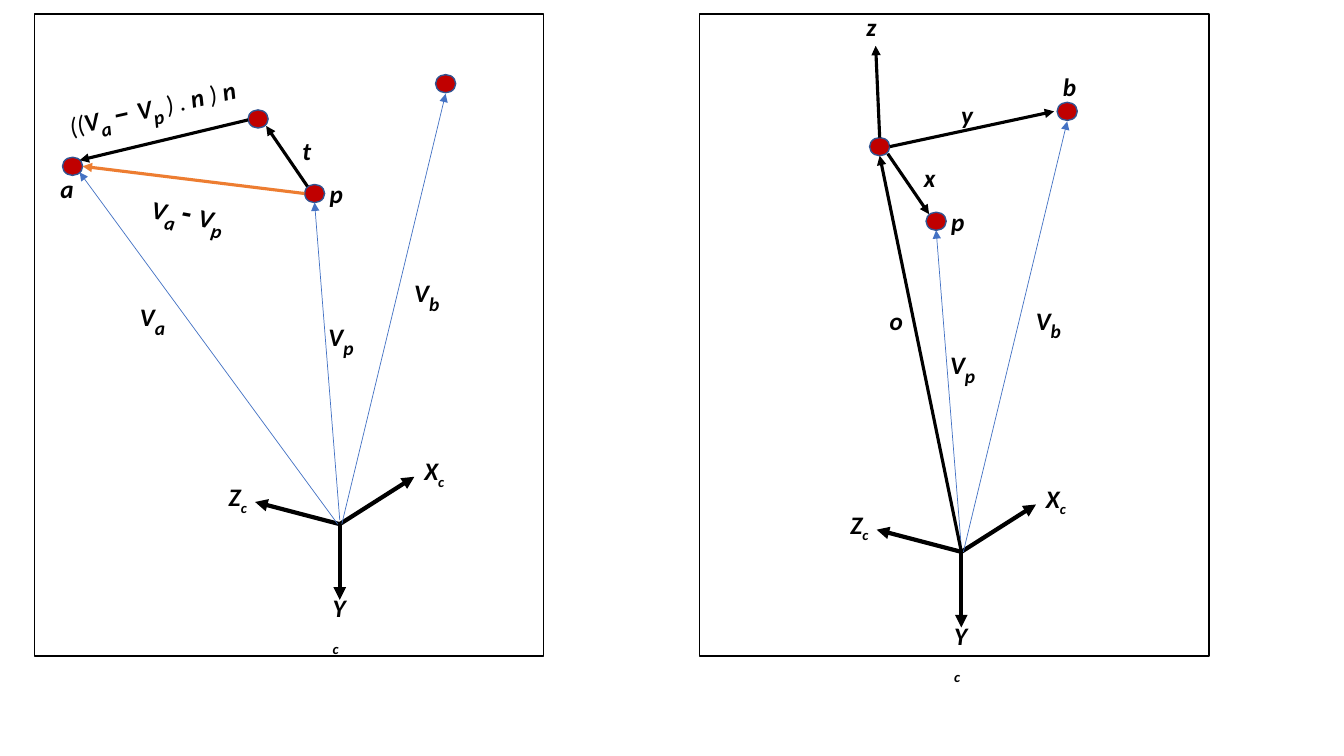
from dataclasses import dataclass

from lxml import etree
from pptx import Presentation
from pptx.dml.color import RGBColor
from pptx.enum.shapes import MSO_CONNECTOR, MSO_SHAPE
from pptx.enum.text import MSO_AUTO_SIZE
from pptx.oxml.ns import qn
from pptx.slide import Slide
from pptx.util import Inches, Pt

STRAIGHT = MSO_CONNECTOR.STRAIGHT
OVAL, RECTANGLE = MSO_SHAPE.OVAL, MSO_SHAPE.RECTANGLE
GROW = MSO_AUTO_SIZE.SHAPE_TO_FIT_TEXT
SLIDE_WIDTH, SLIDE_HEIGHT = Inches(13.33), Inches(7.5)
ROWS = 75
CELL = SLIDE_HEIGHT / ROWS


@dataclass(frozen=True)
class Theme:
    font: str = "Calibri"
    ink: str = "000000"
    ray: str = "4472C4"
    difference: str = "ED7D31"
    point: str = "C00000"
    point_edge: str = "325491"
    text: int = 18
    subscript: int = 24
    thin: float = 0.5
    edge: float = 1
    vector: float = 2.25
    axis: float = 3


THEME = Theme()


@dataclass(frozen=True)
class Piece:
    text: str
    size: int = THEME.text
    lowered: bool = False
    bold: bool = True


@dataclass(frozen=True)
class Arrow:
    start: tuple[float, float]
    end: tuple[float, float]
    color: str = THEME.ink
    width: float = THEME.vector


@dataclass(frozen=True)
class Label:
    col: float
    row: float
    pieces: tuple[Piece, ...]
    cols: float = 3.4
    rows: float = 4
    wrap: bool = False
    rotation: float = 0


@dataclass(frozen=True)
class Panel:
    frame_col: float
    origin: tuple[float, float]
    points: tuple[tuple[float, float], ...]
    arrows: tuple[Arrow, ...]
    labels: tuple[Label, ...]


def sub(text: str, size: int = THEME.subscript) -> Piece:
    return Piece(text, size, lowered=True)


def letter(col: float, row: float, text: str) -> Label:
    return Label(col, row, (Piece(text),))


def vector_name(col: float, row: float, index: str) -> Label:
    return Label(col, row, (Piece("V"), sub(index)), cols=4.7)


def axis_name(col: float, row: float, axis: str, cols: float, wrap: bool = False) -> Label:
    return Label(col, row, (Piece(axis), sub("c", THEME.text)), cols, wrap=wrap)


def ray(start: tuple[float, float], end: tuple[float, float]) -> Arrow:
    return Arrow(start, end, THEME.ray, THEME.thin)


FRAME_ROW, FRAME_COLS, FRAME_ROWS = 1.4, 50.5, 63.7
POINT_COLS, POINT_ROWS = 2, 1.8
NEAR_P, NEAR_CORNER = (-3.2, -33.5), (-7.3, -39.5)

CAMERA_ARROWS = tuple(
    Arrow((0, 0), tip, width=THEME.axis) for tip in ((7.4, -4.7), (0, 7.5), (-8.4, -2.2))
)
SHARED_ARROWS = CAMERA_ARROWS + (
    ray((0, -0.4), (-2.5, -31.9)),
    ray((0.2, 0), (10.5, -42.7)),
)
SHARED_POINTS = ((9.5, -44.6), (-3.5, -33.7), (-9.1, -41.1))
SHARED_LABELS = (
    axis_name(7.4, -7.3, "X", 4.1),
    axis_name(-1.7, 6.3, "Y", 3.6, wrap=True),
    axis_name(-12, -4.7, "Z", 3.9),
    vector_name(-2.1, -21.4, "p"),
    vector_name(6.4, -25.8, "b"),
    letter(-2, -34.8, "p"),
)

DIFFERENCE = (
    Piece("V"), sub("a "), Piece("- ", THEME.subscript), Piece("V"), sub("p"),
)
PROJECTION = (
    Piece("((", bold=False), Piece("V"), sub("a "), Piece("– ", THEME.subscript),
    Piece("V"), sub("p "), Piece(") . ", bold=False), Piece("n"),
    Piece(" ) ", bold=False), Piece("n"),
)

PANELS = (
    Panel(
        frame_col=3.4,
        origin=(33.7, 52),
        points=((-27.5, -36.4),),
        arrows=(
            ray((-0.2, 0), (-25.8, -34.9)),
            Arrow((-3.5, -32.8), (-25.5, -35.5), THEME.difference),
            Arrow(NEAR_P, NEAR_CORNER),
            Arrow((-9.1, -40.1), (-25.8, -36.1)),
        ),
        labels=(
            vector_name(-20.8, -23.4, "a"),
            letter(-28.7, -35.3, "a"),
            letter(-4.7, -39.1, "t"),
            Label(-19.6, -33.2, DIFFERENCE, 12.4, 5, True, 10.3),
            Label(-28.1, -44.3, PROJECTION, 20.3, 5, True, 347.3),
        ),
    ),
    Panel(
        frame_col=69.4,
        origin=(95.35, 54.75),
        points=(),
        arrows=(
            Arrow(NEAR_CORNER, NEAR_P),
            Arrow((0, 0), (-8.1, -39.3)),
            Arrow((-7.1, -40.2), (9.2, -43.7)),
            Arrow((-8.1, -41.1), (-8.5, -50.2)),
        ),
        labels=(
            letter(9.1, -48.2, "b"),
            letter(-4.7, -39.1, "x"),
            letter(-8.1, -25, "o"),
            letter(-1, -45.4, "y"),
            letter(-10.4, -54.1, "z"),
        ),
    ),
)


def cells(*counts: float) -> list[int]:
    return [round(count * CELL) for count in counts]


def shifted(origin: tuple[float, float], offset: tuple[float, float]) -> list[int]:
    return cells(origin[0] + offset[0], origin[1] + offset[1])


def draw_point(slide: Slide, origin: tuple[float, float], offset: tuple[float, float]) -> None:
    point = slide.shapes.add_shape(
        OVAL, *shifted(origin, offset), *cells(POINT_COLS, POINT_ROWS)
    )
    point.shadow.inherit = False
    point.fill.solid()
    point.fill.fore_color.rgb = RGBColor.from_string(THEME.point)
    point.line.color.rgb = RGBColor.from_string(THEME.point_edge)
    point.line.width = Pt(THEME.edge)


def draw_arrow(slide: Slide, origin: tuple[float, float], arrow: Arrow) -> None:
    connector = slide.shapes.add_connector(
        STRAIGHT, *shifted(origin, arrow.start), *shifted(origin, arrow.end)
    )
    connector.line.color.rgb = RGBColor.from_string(arrow.color)
    connector.line.width = Pt(arrow.width)
    properties = connector._element.spPr
    etree.SubElement(properties.find(qn("a:ln")), qn("a:tailEnd"), type="triangle")
    etree.SubElement(properties, qn("a:effectLst"))


def draw_label(slide: Slide, origin: tuple[float, float], label: Label) -> None:
    box = slide.shapes.add_textbox(
        *shifted(origin, (label.col, label.row)), *cells(label.cols, label.rows)
    )
    box.rotation = label.rotation
    box.text_frame.word_wrap = label.wrap
    box.text_frame.auto_size = GROW
    for piece in label.pieces:
        run = box.text_frame.paragraphs[0].add_run()
        run.text = piece.text
        run.font.name = THEME.font
        run.font.size = Pt(piece.size)
        run.font.bold = piece.bold
        run.font.italic = True
        run.font.color.rgb = RGBColor.from_string(THEME.ink)
        if piece.lowered:
            run._r.get_or_add_rPr().set("baseline", "-25000")


def draw_frame(slide: Slide, col: float) -> None:
    frame = slide.shapes.add_shape(
        RECTANGLE, *cells(col, FRAME_ROW, FRAME_COLS, FRAME_ROWS)
    )
    frame.shadow.inherit = False
    frame.fill.background()
    frame.line.color.rgb = RGBColor.from_string(THEME.ink)
    frame.line.width = Pt(THEME.edge)


def draw_panel(slide: Slide, panel: Panel) -> None:
    for offset in SHARED_POINTS + panel.points:
        draw_point(slide, panel.origin, offset)
    for arrow in SHARED_ARROWS + panel.arrows:
        draw_arrow(slide, panel.origin, arrow)
    for label in SHARED_LABELS + panel.labels:
        draw_label(slide, panel.origin, label)
    draw_frame(slide, panel.frame_col)


def main() -> None:
    deck = Presentation()
    deck.slide_width, deck.slide_height = SLIDE_WIDTH, SLIDE_HEIGHT
    slide = deck.slides.add_slide(deck.slide_layouts[6])
    for panel in PANELS:
        draw_panel(slide, panel)
    deck.save("out.pptx")


if __name__ == "__main__":
    main()
